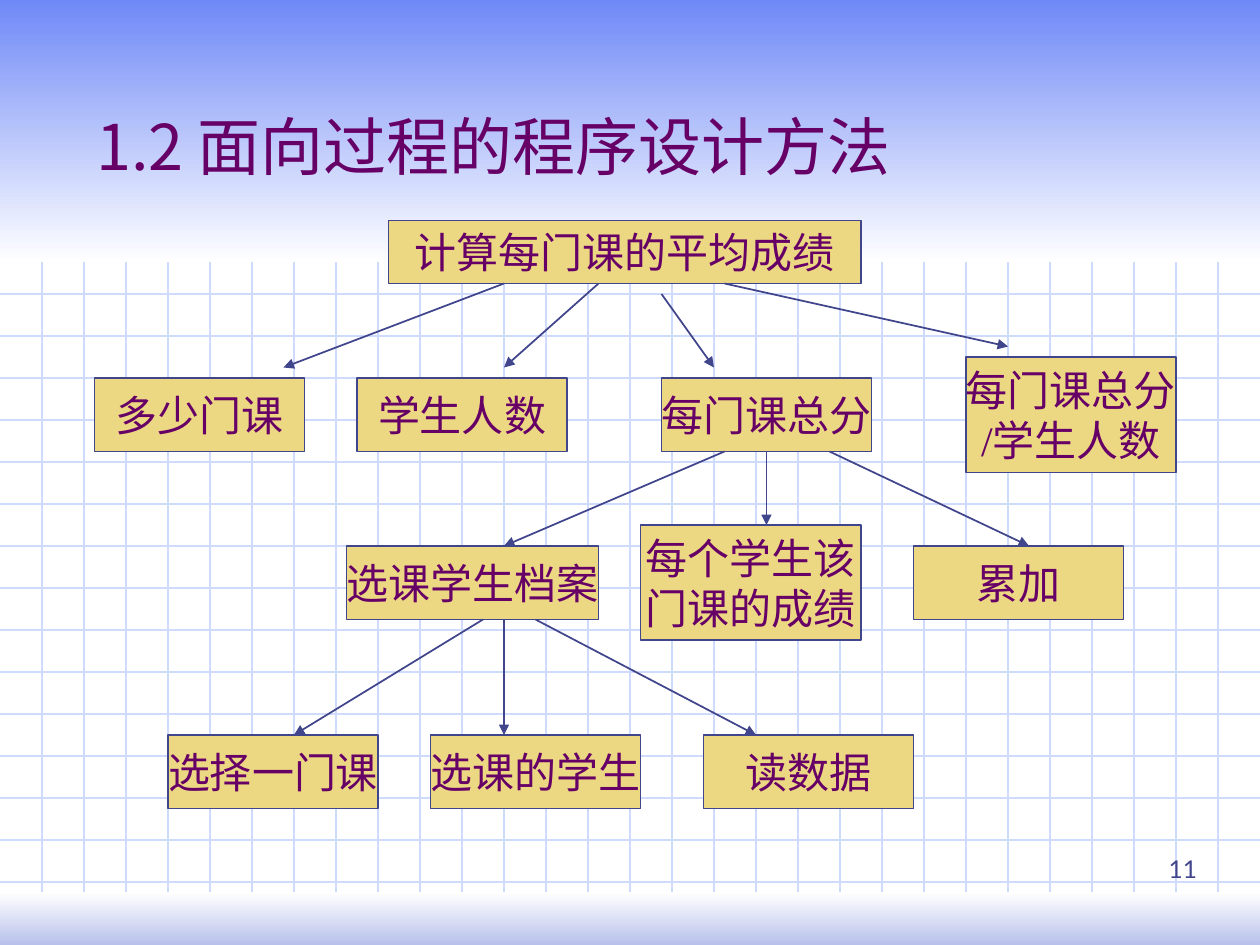
from lxml import etree
from pptx import Presentation
from pptx import util as u
from pptx.dml.color import RGBColor
from pptx.enum import shapes, text
from pptx.oxml.ns import qn

CJK = "Noto Sans CJK SC"
PLUM = "660066"
NAVY = "40458C"
SAND = "ECD882"
GRID_BLUE = "CFDBFD"


def color(value):
    return RGBColor.from_string(value)


def units(*values):
    return [u.Inches(value / 12) for value in values]


def put_text(shape, content, size=24, font="Times New Roman", ink=PLUM,
             align=text.PP_ALIGN.CENTER, anchor=text.MSO_ANCHOR.MIDDLE, wrap=False):
    frame = shape.text_frame
    frame.word_wrap = wrap
    frame.vertical_anchor = anchor
    frame.text = content
    for paragraph in frame.paragraphs:
        paragraph.alignment = align
        for run in paragraph.runs:
            run.font.size = u.Pt(size)
            run.font.name = font
            run.font.color.rgb = color(ink)
            east_asian = etree.SubElement(run.font._element, qn("a:ea"))
            east_asian.set("typeface", CJK)


def draw_line(parent, start, end, ink, width, arrow=False):
    line = parent.shapes.add_connector(shapes.MSO_CONNECTOR.STRAIGHT, *start, *end)
    line.line.color.rgb = color(ink)
    line.line.width = u.Pt(width)
    if arrow:
        etree.SubElement(line.line._get_or_add_ln(), qn("a:tailEnd")).set("type", "triangle")
    etree.SubElement(line._element.spPr, qn("a:effectLst"))


def draw_grid(slide, left, top, width, height):
    group = slide.shapes.add_group_shape()
    step = u.Inches(1) / 3
    for row in range(1, int(height / step + 0.01)):
        y = top + round(row * step)
        draw_line(group, (left, y), (left + width, y), GRID_BLUE, 0.75)
    for column in range(1, int(width / step + 0.01)):
        x = left + round(column * step)
        draw_line(group, (x, top), (x, top + height), GRID_BLUE, 0.75)


def draw_band(slide, box, upper, lower):
    band = slide.shapes.add_shape(shapes.MSO_SHAPE.RECTANGLE, *box)
    band.shadow.inherit = False
    band.line.fill.background()
    band.fill.gradient()
    band.fill.gradient_angle = 270
    for stop, position, tone in zip(band.fill.gradient_stops, (0, 1), (upper, lower)):
        stop.position = position
        stop.color.rgb = color(tone)


def draw_label(slide, box, content, **style):
    label = slide.shapes.add_textbox(*box)
    put_text(label, content, anchor=text.MSO_ANCHOR.BOTTOM, wrap=True, **style)


def draw_node(parent, box, content):
    node = parent.shapes.add_shape(shapes.MSO_SHAPE.RECTANGLE, *box)
    node.shadow.inherit = False
    node.fill.solid()
    node.fill.fore_color.rgb = color(SAND)
    node.line.color.rgb = color(NAVY)
    node.line.width = u.Pt(1)
    put_text(node, content)


def draw_level(slide, left, top, nodes, arrows):
    group = slide.shapes.add_group_shape()
    for content, x, y, width, height in nodes:
        draw_node(group, units(left + x, top + y, width, height), content)
    for x1, y1, x2, y2 in arrows:
        draw_line(group, units(left + x1, top + y1), units(left + x2, top + y2),
                  NAVY, 1, arrow=True)


def main():
    deck = Presentation()
    deck.slide_width, deck.slide_height = u.Inches(10), u.Inches(7.5)
    slide = deck.slides.add_slide(deck.slide_layouts[6])
    slide.background.fill.solid()
    slide.background.fill.fore_color.rgb = color("FFFFFF")

    draw_grid(slide, 0, 0, deck.slide_width, deck.slide_height)
    draw_band(slide, units(0, 0, 120, 25), "6F89F7", "FFFFFF")
    draw_band(slide, units(0, 85, 120, 5), "FFFFFF", "B7C1EB")
    draw_label(slide, units(8, 3, 102, 15), "1.2 面向过程的程序设计方法",
               size=36, font=CJK, align=text.PP_ALIGN.LEFT)

    draw_node(slide, units(37, 21, 45, 6), "计算每门课的平均成绩")
    draw_level(slide, 9, 27,
               [("多少门课", 0, 9, 20, 7), ("学生人数", 25, 9, 20, 7),
                ("每门课总分", 54, 9, 20, 7), ("每门课总分\n/学生人数", 83, 7, 20, 11)],
               [(39, 0, 18, 8), (48, 0, 39, 8), (54, 1, 59, 8), (60, 0, 87, 6)])
    draw_level(slide, 33, 43,
               [("选课学生档案", 0, 9, 24, 7), ("每个学生该\n门课的成绩", 28, 7, 21, 11),
                ("累加", 54, 9, 20, 7)],
               [(36, 0, 15, 9), (40, 0, 40, 7), (46, 0, 65, 9)])
    draw_level(slide, 16, 59,
               [("选择一门课", 0, 11, 20, 7), ("选课的学生", 25, 11, 20, 7),
                ("读数据", 51, 11, 20, 7)],
               [(30, 0, 12, 11), (32, 0, 32, 11), (35, 0, 56, 11)])

    page_box = [u.Inches(side) for side in (8.5, 6.67, 1.1, 0.39)]
    draw_label(slide, page_box, "11", size=14, font="Lato", ink=NAVY,
               align=text.PP_ALIGN.RIGHT)
    deck.save("out.pptx")


if __name__ == "__main__":
    main()
